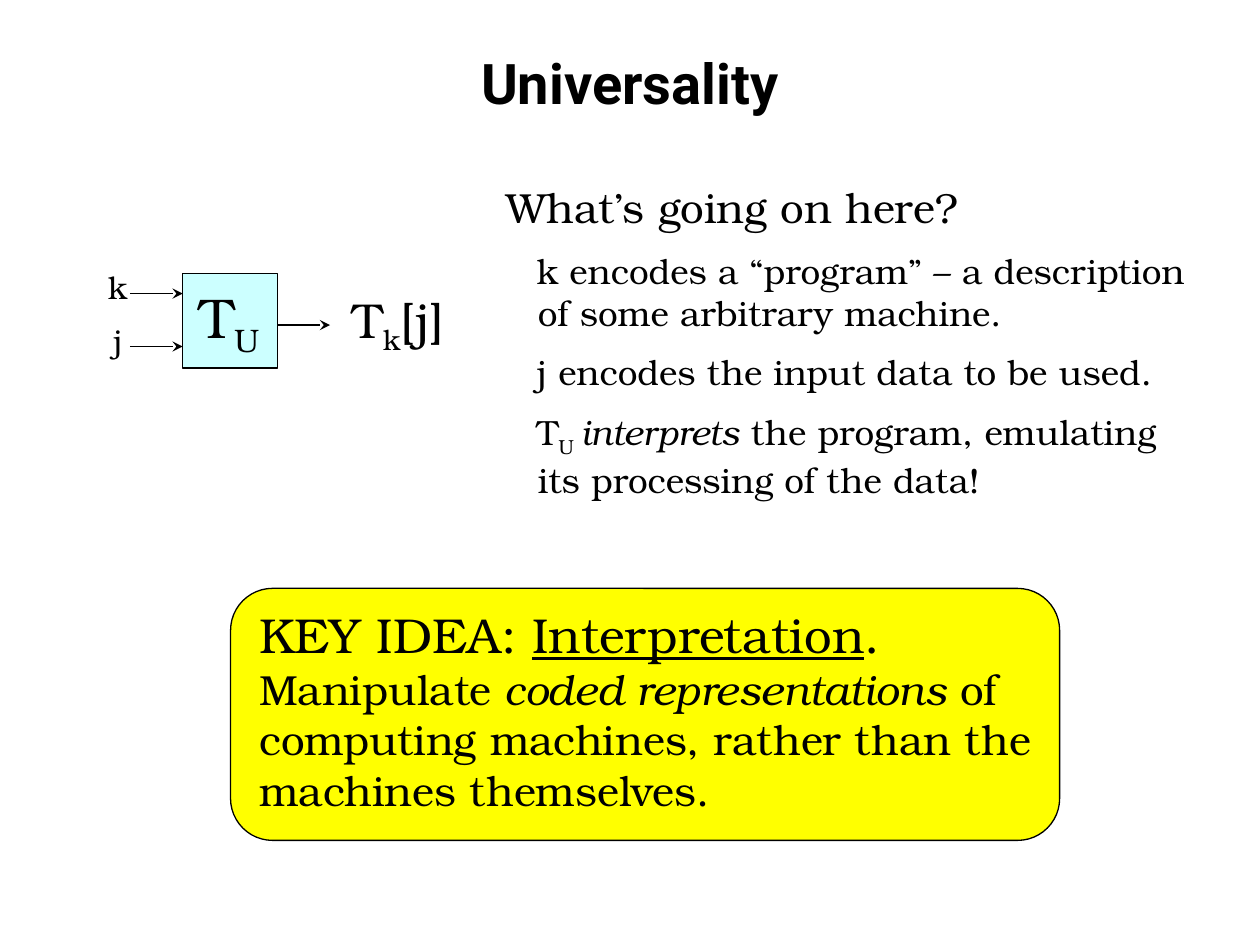
"""Build the Universality slide: a machine diagram, its reading and the key idea."""
from lxml import etree
from pptx import Presentation
from pptx.dml.color import RGBColor
from pptx.enum.shapes import MSO_CONNECTOR, MSO_SHAPE
from pptx.enum.text import MSO_ANCHOR, PP_ALIGN
from pptx.oxml.ns import qn
from pptx.util import Inches, Pt

LEFT, CENTER = PP_ALIGN.LEFT, PP_ALIGN.CENTER
MIDDLE = MSO_ANCHOR.MIDDLE
RECT, ROUND = MSO_SHAPE.RECTANGLE, MSO_SHAPE.ROUNDED_RECTANGLE
STRAIGHT = MSO_CONNECTOR.STRAIGHT
SERIF = "TeX Gyre Bonum"


def color(text):
    return RGBColor.from_string(text)


def write(para, runs, size, face=SERIF, align=LEFT):
    para.alignment = align
    para.font.name = face
    para.font.size = Pt(size)
    para.font.color.rgb = color("000000")
    for text, style in runs:
        run = para.add_run()
        run.text = text
        if style == "sub":
            run._r.get_or_add_rPr().set("baseline", "-25000")
        elif style == "italic":
            run.font.italic = True
        elif style == "under":
            run.font.underline = True
        elif style:
            run.font.size = Pt(style)


deck = Presentation()
deck.slide_width, deck.slide_height = Inches(10), Inches(7.5)
slide = deck.slides.add_slide(deck.slide_layouts[6])
shapes = slide.shapes

# Shapes
for kind, x, y, w, h, fill in [
    (RECT, 1.45, 2.17, 0.75, 0.75, "CCFFFF"),
    (ROUND, 1.83, 4.67, 6.58, 2, "FFFF00"),
]:
    box = shapes.add_shape(kind, Inches(x), Inches(y), Inches(w), Inches(h))
    box.shadow.inherit = False
    box.fill.solid()
    box.fill.fore_color.rgb = color(fill)
    box.line.color.rgb = color("000000")
    box.line.width = Pt(0.75)

for x, y in [(1.03, 2.33), (1.03, 2.75), (2.2, 2.58)]:
    arrow = shapes.add_connector(
        STRAIGHT, Inches(x), Inches(y), Inches(x + 0.42), Inches(y))
    arrow.line.color.rgb = color("000000")
    arrow.line.width = Pt(0.75)
    etree.SubElement(arrow.line._get_or_add_ln(), qn("a:tailEnd"), type="stealth")
    etree.SubElement(arrow._element.spPr, qn("a:effectLst"))

for x, y, w, h, size, align, runs in [
    (1.45, 2.19, 0.74, 0.64, 32, CENTER, [("T", None), ("U", "sub")]),
    (0.75, 2.08, 0.37, 0.4, 18, CENTER, [("k", None)]),
    (0.78, 2.5, 0.31, 0.4, 18, CENTER, [("j", None)]),
    (2.7, 2.25, 0.96, 0.57, 28, LEFT, [("T", None), ("k", "sub"), ("[j]", None)]),
]:
    label = shapes.add_textbox(Inches(x), Inches(y), Inches(w), Inches(h))
    label.text_frame.word_wrap = False
    write(label.text_frame.paragraphs[0], runs, size, align=align)

title = shapes.add_textbox(Inches(0.5), Inches(0.3), Inches(9), Inches(0.7))
frame = title.text_frame
frame.word_wrap = True
frame.vertical_anchor = MIDDLE
write(frame.paragraphs[0], [("Universality", None)], 32, "Roboto", CENTER)
frame.paragraphs[0].font.bold = True

body = shapes.add_textbox(Inches(3.92), Inches(1.39), Inches(5.67), Inches(2.69))
frame = body.text_frame
frame.word_wrap = True
write(frame.paragraphs[0], [("What’s going on here?", None)], 24)
for runs in [
    [("k encodes a “program” – a description of some arbitrary machine.", None)],
    [("j encodes the input data to be used.", None)],
    [("T", None), ("U ", "sub"), ("interprets", "italic"),
     (" the program, emulating its processing of the data!", None)],
]:
    para = frame.add_paragraph()
    para.space_before = Pt(10)
    props = para._p.get_or_add_pPr()
    props.set("marL", str(Inches(0.25)))
    props.set("indent", str(Inches(-0.01)))
    write(para, runs, 20)

idea = shapes.add_textbox(Inches(1.96), Inches(4.75), Inches(6.46), Inches(1.78))
frame = idea.text_frame
frame.word_wrap = True
write(frame.paragraphs[0], [
    ("KEY IDEA: ", 28), ("Interpretation", "under"), (". ", 28),
    ("Manipulate ", None), ("coded representations", "italic"),
    (" of computing machines, rather than the machines themselves.", None),
], 24)
frame.paragraphs[0].runs[1].font.size = Pt(28)

deck.save("out.pptx")
